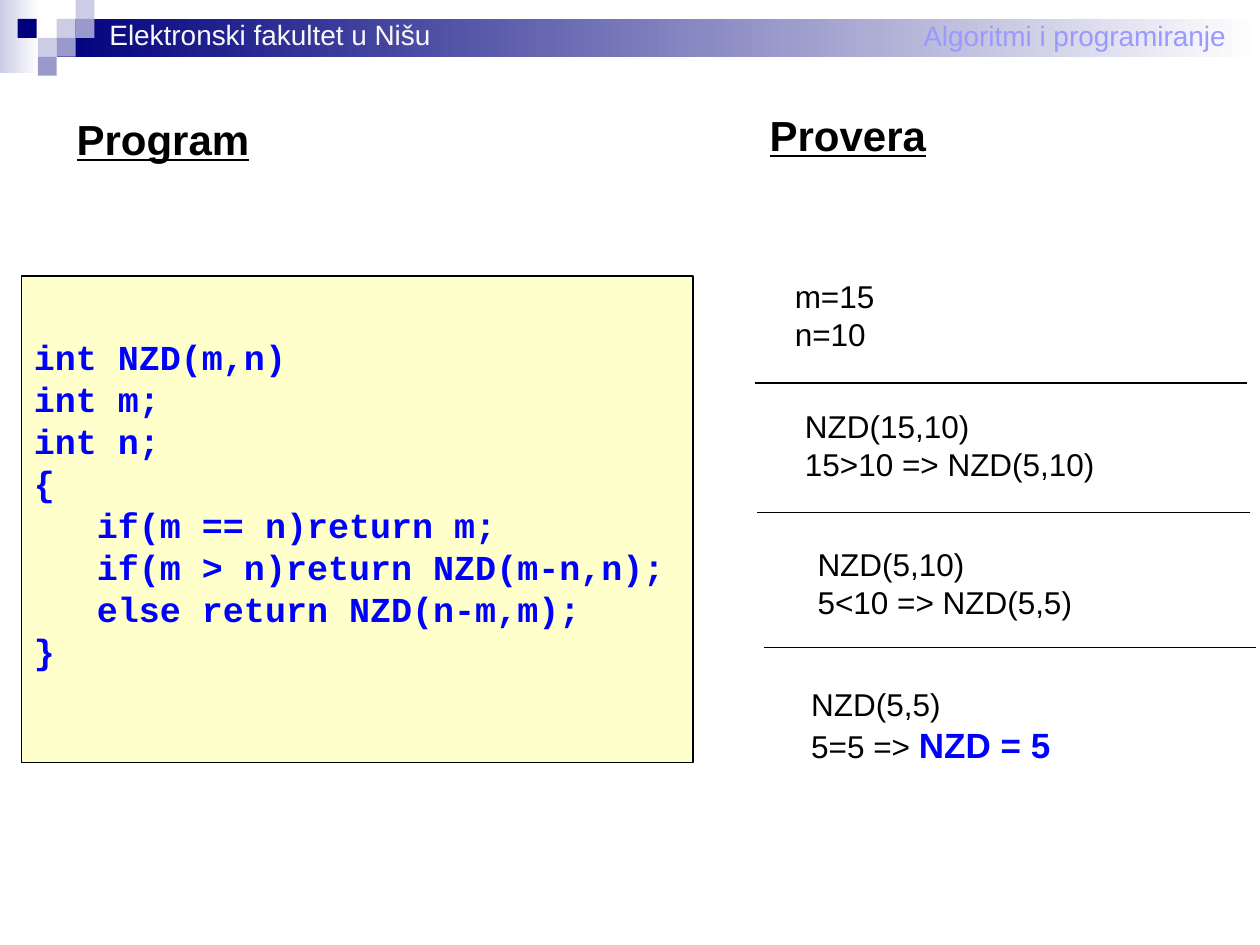
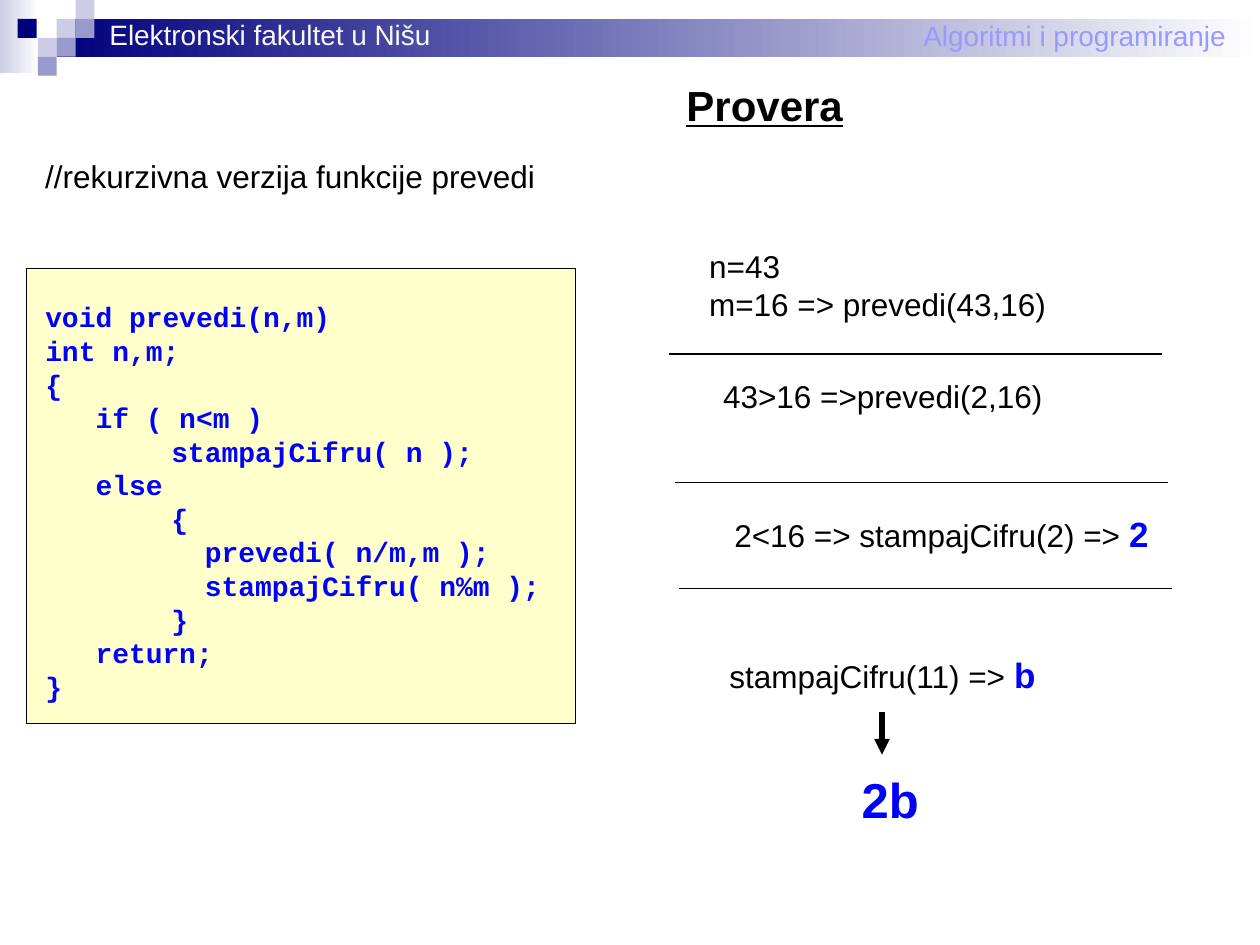
from lxml import etree
from pptx import Presentation
from pptx.dml.color import RGBColor
from pptx.enum.shapes import MSO_CONNECTOR as CONN, MSO_SHAPE as SHAPE
from pptx.enum.text import MSO_ANCHOR as ANCHOR, PP_ALIGN as ALIGN
from pptx.oxml.ns import qn
from pptx.util import Inches, Pt

COLORS = {
    "navy": "00007D", "pale": "CCCCE6", "violet": "9999CC", "white": "FFFFFF",
    "course": "9999FF", "school": "F8F8F8", "cream": "FFFFCC",
    "black": "000000", "blue": "0000FF",
}
SANS, MONO = "Arial", "Courier New"
LEADING = 1.2
TILE = 0.15
DIVIDER_WIDTH = 3.91

TILES = [
    (0.45, 0.15, "pale"), (0.6, 0, "pale"), (0.6, 0.15, "violet"),
    (0.3, 0.3, "pale"), (0.14, 0.15, "navy"), (0.45, 0.3, "violet"),
    (0.3, 0.45, "violet"),
]

NZD_CODE = """int NZD(m,n)
int m;
int n;
{
   if(m == n)return m;
   if(m > n)return NZD(m-n,n);
   else return NZD(n-m,m);
}"""

PREVEDI_CODE = """void prevedi(n,m)
int n,m;
{
   if ( n<m )
\tstampajCifru( n );
   else
\t{
\t  prevedi( n/m,m );
    \t  stampajCifru( n%m );
\t}
   return;
}"""

NZD_STEPS = [
    (6.21, 2.15, 0.9, 0.7, ["m=15", "n=10"], ""),
    (6.29, 3.18, 2.6, 0.7, ["NZD(15,10)", "15>10 => NZD(5,10)"], ""),
    (6.39, 4.28, 2.3, 0.7, ["NZD(5,10)", "5<10 => NZD(5,5)"], ""),
    (6.34, 5.39, 2.2, 0.74, ["NZD(5,5)", "5=5 => "], "NZD = 5"),
]
NZD_DIVIDERS = [(5.99, 3.04), (6.01, 4.07), (6.06, 5.14)]

PREVEDI_STEPS = [
    (5.53, 1.91, 3, 0.7, ["n=43", "m=16 => prevedi(43,16)"], ""),
    (5.64, 2.94, 3, 0.4, ["43>16 =>prevedi(2,16)"], ""),
    (5.73, 4.02, 3.6, 0.44, ["2<16 => stampajCifru(2) => "], "2"),
    (5.69, 5.14, 2.8, 0.44, ["stampajCifru(11) => "], "b"),
]
PREVEDI_DIVIDERS = [(5.31, 2.81), (5.36, 3.83), (5.39, 4.67)]


def rgb(name):
    return RGBColor.from_string(COLORS[name])


class Deck:
    def __init__(self):
        self.prs = Presentation()
        self.prs.slide_width, self.prs.slide_height = Inches(10), Inches(7.5)
        self.s = None

    def new_slide(self):
        self.s = self.prs.slides.add_slide(self.prs.slide_layouts[6])
        self.fade(0, 0, 0.31, 0.58, "pale")
        self.fade(0.45, 0.15, 9.55, 0.3, "navy")
        for x, y, color in TILES:
            self.rect(x, y, TILE, TILE, color)
        self.text(7.23, 0.1, 2.6, 0.37, ["Algoritmi i programiranje"], 16, "course")
        self.text(0.77, 0.09, 2.75, 0.37, ["Elektronski fakultet u Nišu"], 16, "school")

    def rect(self, x, y, w, h, color, outline=None):
        sp = self.s.shapes.add_shape(SHAPE.RECTANGLE, Inches(x), Inches(y), Inches(w), Inches(h))
        sp.shadow.inherit = False
        sp.fill.solid()
        sp.fill.fore_color.rgb = rgb(color)
        if outline:
            sp.line.color.rgb = rgb(outline)
            sp.line.width = Pt(0.75)
        else:
            sp.line.fill.background()
        return sp

    def fade(self, x, y, w, h, color):
        fill = self.rect(x, y, w, h, color).fill
        fill.gradient()
        fill.gradient_angle = 0
        for stop, name, position in zip(fill.gradient_stops, (color, "white"), (0, 1)):
            stop.color.rgb = rgb(name)
            stop.position = position

    def style(self, font, size, color, bold=False, name=SANS):
        font.name, font.size, font.bold = name, Pt(size), bold
        font.color.rgb = rgb(color)

    def text(self, x, y, w, h, lines, size, color="black", bold=False, underline=None, result=""):
        tf = self.s.shapes.add_textbox(Inches(x), Inches(y), Inches(w), Inches(h)).text_frame
        tf.word_wrap = False
        for i, line in enumerate(lines):
            p = tf.paragraphs[0] if i == 0 else tf.add_paragraph()
            p.alignment = ALIGN.LEFT
            p.line_spacing = Pt(LEADING * size)
            p.add_run().text = line
            if result and i == len(lines) - 1:
                p.line_spacing = Pt(LEADING * 20)
                self.style(p.runs[0].font, size, color)
                r = p.add_run()
                r.text = result
                self.style(r.font, 20, "blue", True)
            else:
                self.style(p.font, size, color, bold)
                p.font.underline = underline

    def heading(self, x, y, w, title):
        self.text(x, y, w, 0.5, [title], 24, bold=True, underline=True)

    def code(self, x, y, w, h, source, size, left, top):
        tf = self.rect(x, y, w, h, "cream", "black").text_frame
        tf.word_wrap = True
        tf.vertical_anchor = ANCHOR.TOP
        tf.margin_left, tf.margin_top = Inches(left), Inches(top)
        for i, line in enumerate(source.split("\n")):
            p = tf.paragraphs[0] if i == 0 else tf.add_paragraph()
            p.text = line
            p.alignment = ALIGN.LEFT
            p.line_spacing = Pt(LEADING * size)
            if "\t" in line:
                tabs = etree.SubElement(p._p.get_or_add_pPr(), qn("a:tabLst"))
                etree.SubElement(tabs, qn("a:tab"), pos=str(Inches(1)), algn="l")
            self.style(p.font, size, "blue", True, MONO)

    def line(self, x1, y1, x2, y2, width=0.75, arrow=False):
        c = self.s.shapes.add_connector(CONN.STRAIGHT, Inches(x1), Inches(y1), Inches(x2), Inches(y2))
        c.line.color.rgb = rgb("black")
        c.line.width = Pt(width)
        if arrow:
            etree.SubElement(c.line._get_or_add_ln(), qn("a:tailEnd"), type="triangle")
        etree.SubElement(c._element.spPr, qn("a:effectLst"))

    def trace(self, steps, dividers):
        for x, y, w, h, lines, result in steps:
            self.text(x, y, w, h, lines, 18, result=result)
        for x, y in dividers:
            self.line(x, y, x + DIVIDER_WIDTH, y)


def main():
    deck = Deck()

    deck.new_slide()
    deck.code(0.17, 2.19, 5.33, 3.86, NZD_CODE, 20, left=0.1, top=0.47)
    deck.heading(0.51, 0.85, 1.57, "Program")
    deck.heading(6.01, 0.82, 1.44, "Provera")
    deck.trace(NZD_STEPS, NZD_DIVIDERS)

    deck.new_slide()
    deck.heading(5.35, 0.58, 1.44, "Provera")
    deck.trace(PREVEDI_STEPS, PREVEDI_DIVIDERS)
    deck.line(7, 5.65, 7, 5.99, 3, arrow=True)
    deck.text(6.74, 6.06, 0.71, 0.57, ["2b"], 28, "blue", bold=True)
    deck.text(0.26, 1.2, 4.12, 0.4, ["//rekurzivna verzija funkcije prevedi"], 18)
    deck.code(0.21, 2.13, 4.36, 3.61, PREVEDI_CODE, 16, left=0.15, top=0.25)

    deck.prs.save("out.pptx")


if __name__ == "__main__":
    main()
